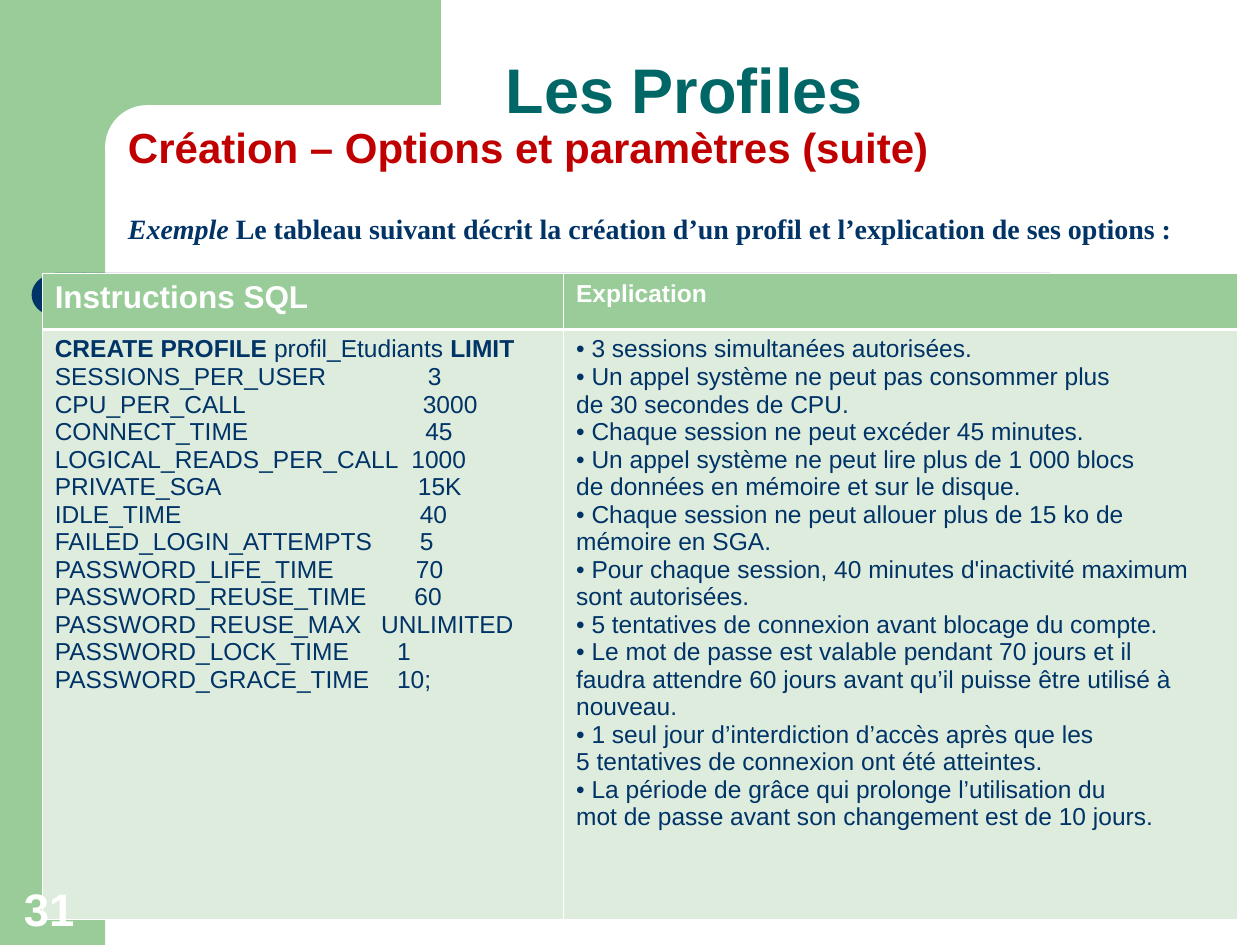
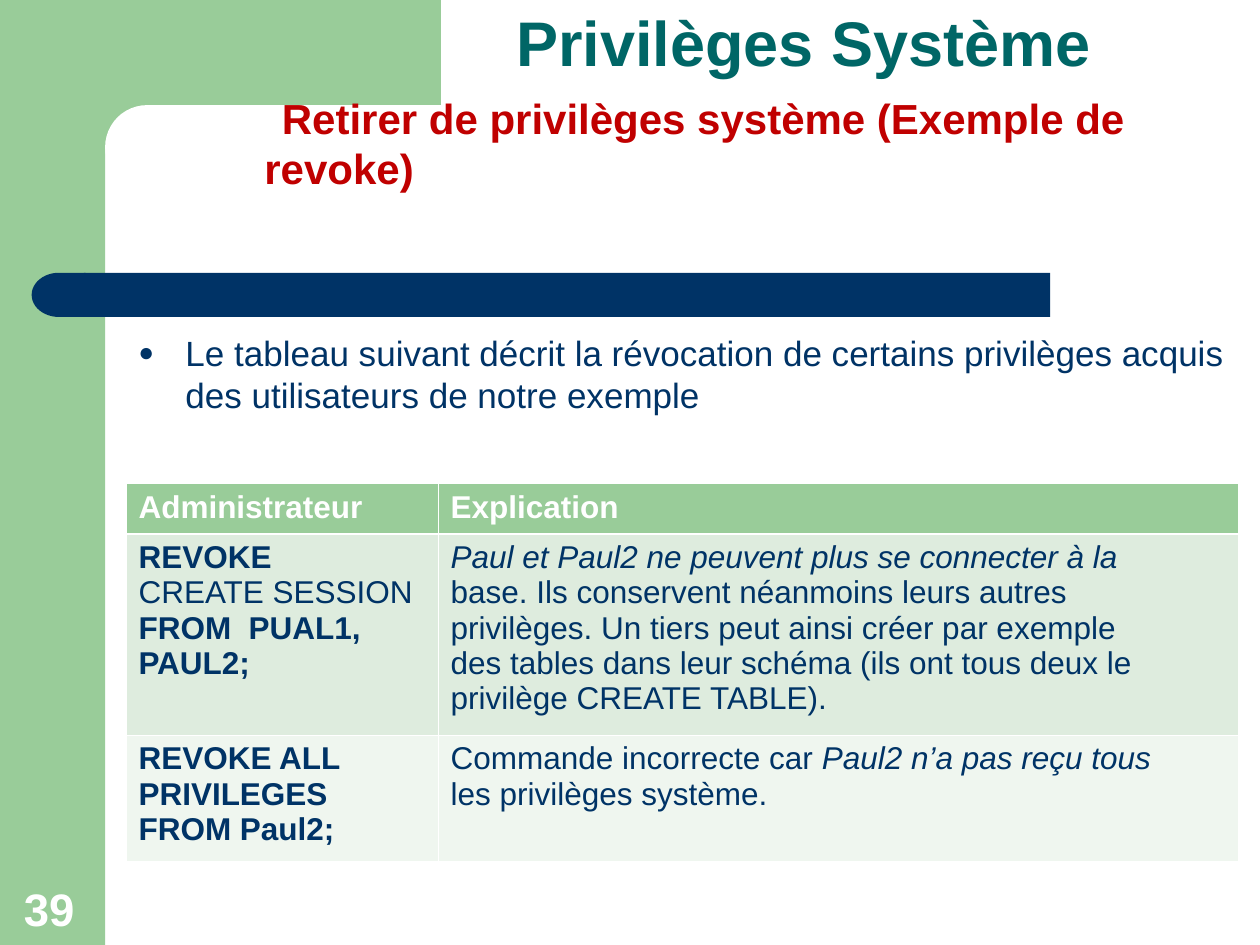
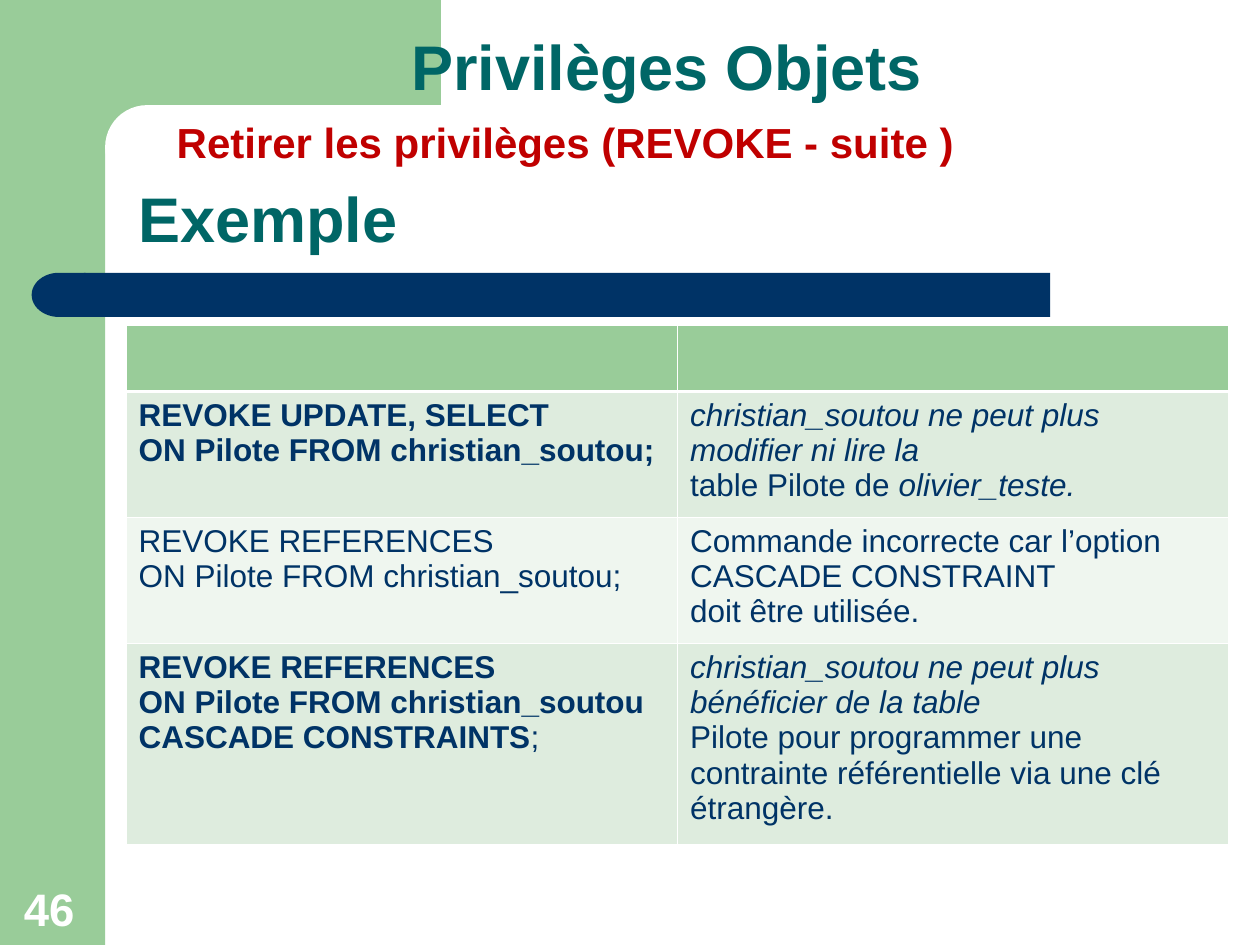
from dataclasses import dataclass
from typing import Any, NamedTuple

import lxml.etree
import pptx
import pptx.dml.color
import pptx.enum.shapes
import pptx.enum.text
import pptx.oxml.ns
import pptx.util

Cm = pptx.util.Cm
Pt = pptx.util.Pt
qn = pptx.oxml.ns.qn
Preset = pptx.enum.shapes.MSO_SHAPE
Anchor = pptx.enum.text.MSO_ANCHOR

COLORS = {
    "green": "99CC99",
    "navy": "003366",
    "teal": "006666",
    "red": "C00000",
    "white": "FFFFFF",
    "row_dark": "DEECDE",
    "row_light": "EFF6EF",
}
THIN, THICK = 0.45, 1.47
TITLE_SIZE, SUBTITLE_SIZE = 36, 24


class Box(NamedTuple):
    left: float
    top: float
    width: float
    height: float

    def lengths(self) -> list[int]:
        return [Cm(value) for value in self]


class Run(NamedTuple):
    text: str
    bold: bool = False
    italic: bool = False


class Line(NamedTuple):
    runs: list[Run]
    tab_stop: float = 0


@dataclass
class Band:
    box: Box
    preset: Any
    color: str
    adjustment: float | None = None
    flipped: bool = False


@dataclass
class TableContent:
    left: float
    top: float
    columns: list[float]
    rows: list[float]
    cells: list[list[list[Line]]]
    size: int = 18
    first_header_size: int = 18


BANDS = [
    Band(Box(0, 0, 2.12, 19.05), Preset.RECTANGLE, "green"),
    Band(Box(1.9, 0, 6.99, 2.96), Preset.RECTANGLE, "green"),
    Band(Box(2.12, 2.12, 14.18, 1.69), Preset.ROUNDED_RECTANGLE, "white", 0.5),
    Band(Box(1.69, 5.5, 19.48, 0.89), Preset.ROUNDED_RECTANGLE, "navy", 0),
    Band(Box(0.64, 5.5, 1.09, 0.89), Preset.FLOWCHART_DELAY, "navy", flipped=True),
]
NUMBER_BOX = Box(0.23, 17.63, 1.63, 1.37)


def plain(*texts: str) -> list[Line]:
    return [Line([Run(text)]) for text in texts]


def bold(*texts: str) -> list[Line]:
    return [Line([Run(text, bold=True)]) for text in texts]


def italic(*texts: str) -> list[Line]:
    return [Line([Run(text, italic=True)]) for text in texts]


def rgb(name: str) -> pptx.dml.color.RGBColor:
    return pptx.dml.color.RGBColor.from_string(COLORS[name])


def add_text(paragraph: Any, text: str, *, size: float, color: str = "navy", bold: bool = False,
             italic: bool = False, font: str = "Arial") -> None:
    for index, part in enumerate(text.split("\n")):
        if index:
            paragraph.add_line_break()
        if part:
            run = paragraph.add_run()
            run.text = part
            run.font.name = font
            run.font.size = Pt(size)
            run.font.bold = bold
            run.font.italic = italic
            run.font.color.rgb = rgb(color)


def set_tab_stop(paragraph: Any, position: float) -> None:
    properties = paragraph._p.get_or_add_pPr()
    tabs = lxml.etree.SubElement(properties, qn("a:tabLst"))
    lxml.etree.SubElement(tabs, qn("a:tab"), pos=str(Cm(position)), algn="l")


def set_bullet(paragraph: Any, indent: float) -> None:
    properties = paragraph._p.get_or_add_pPr()
    properties.set("marL", str(Cm(indent)))
    properties.set("indent", str(-Cm(indent)))
    color = lxml.etree.SubElement(properties, qn("a:buClr"))
    lxml.etree.SubElement(color, qn("a:srgbClr"), val=COLORS["navy"])
    lxml.etree.SubElement(properties, qn("a:buSzPct"), val="75000")
    lxml.etree.SubElement(properties, qn("a:buFont"), typeface="Arial")
    lxml.etree.SubElement(properties, qn("a:buChar"), char="●")


def prepare_frame(shape: Any, anchor: Any) -> Any:
    frame = shape.text_frame
    frame.word_wrap = True
    frame.auto_size = pptx.enum.text.MSO_AUTO_SIZE.NONE
    frame.vertical_anchor = anchor
    frame.margin_left = frame.margin_right = Cm(0.25)
    frame.margin_top = frame.margin_bottom = Cm(0.13)
    paragraph = frame.paragraphs[0]
    paragraph.alignment = pptx.enum.text.PP_ALIGN.LEFT
    return paragraph


def add_text_box(slide: Any, box: Box, anchor: Any = Anchor.TOP) -> Any:
    return prepare_frame(slide.shapes.add_textbox(*box.lengths()), anchor)


def place_title(slide: Any, box: Box) -> Any:
    title = slide.shapes.title
    title.left, title.top, title.width, title.height = box.lengths()
    return prepare_frame(title, Anchor.BOTTOM)


def write_heading(paragraph: Any, heading: str, subtitle: str = "", tab_stop: float = 0) -> None:
    paragraph.line_spacing = 0.9
    if tab_stop:
        set_tab_stop(paragraph, tab_stop)
    add_text(paragraph, heading, size=TITLE_SIZE, color="teal", bold=True)
    add_text(paragraph, subtitle, size=SUBTITLE_SIZE, color="red", bold=True)


def add_number(slide: Any, number: int) -> None:
    paragraph = add_text_box(slide, NUMBER_BOX, Anchor.BOTTOM)
    add_text(paragraph, str(number), size=26, color="white", bold=True)


def add_bands(slide: Any, layout: Any) -> None:
    for band in BANDS:
        shape = slide.shapes.add_shape(band.preset, *band.box.lengths())
        shape.shadow.inherit = False
        shape.fill.solid()
        shape.fill.fore_color.rgb = rgb(band.color)
        shape.line.fill.background()
        if band.adjustment is not None:
            shape.adjustments[0] = band.adjustment
        if band.flipped:
            shape.element.spPr.xfrm.set("flipH", "1")
        layout.shapes.element.append(shape.element)


def set_borders(cell: Any, top: float, bottom: float) -> None:
    properties = cell._tc.get_or_add_tcPr()
    widths = {"a:lnL": THIN, "a:lnR": THIN, "a:lnT": top, "a:lnB": bottom}
    for index, (tag, width) in enumerate(widths.items()):
        border = lxml.etree.Element(qn(tag), w=str(Pt(width)))
        fill = lxml.etree.SubElement(border, qn("a:solidFill"))
        lxml.etree.SubElement(fill, qn("a:srgbClr"), val=COLORS["white"])
        properties.insert(index, border)


def add_table(slide: Any, content: TableContent) -> None:
    box = Box(content.left, content.top, sum(content.columns), sum(content.rows))
    table = slide.shapes.add_table(len(content.rows), len(content.columns), *box.lengths()).table
    table.horz_banding = False
    for column, width in zip(table.columns, content.columns):
        column.width = Cm(width)
    for row_index, (row, height) in enumerate(zip(table.rows, content.rows)):
        row.height = Cm(height)
        header = row_index == 0
        fill = "green" if header else ("row_light", "row_dark")[row_index % 2]
        for column_index, lines in enumerate(content.cells[row_index]):
            cell = table.cell(row_index, column_index)
            cell.fill.solid()
            cell.fill.fore_color.rgb = rgb(fill)
            set_borders(cell, THICK if row_index == 1 else THIN, THICK if header else THIN)
            first = header and column_index == 0
            size = content.first_header_size if first else content.size
            for line_index, line in enumerate(lines):
                frame = cell.text_frame
                paragraph = frame.add_paragraph() if line_index else frame.paragraphs[0]
                if line.tab_stop:
                    set_tab_stop(paragraph, line.tab_stop)
                for run in line.runs:
                    add_text(paragraph, run.text, size=size, color="white" if header else "navy",
                             bold=run.bold, italic=run.italic)


PROFILE_LIMITS = [
    ("SESSIONS_PER_USER", "3", 7.52),
    ("CPU_PER_CALL", "3000", 7.42),
    ("CONNECT_TIME", "45", 7.47),
    ("LOGICAL_READS_PER_CALL", "1000", 7.19),
    ("PRIVATE_SGA", "15K", 7.32),
    ("IDLE_TIME", "40", 7.36),
    ("FAILED_LOGIN_ATTEMPTS", "5", 7.36),
    ("PASSWORD_LIFE_TIME", "70", 7.28),
    ("PASSWORD_REUSE_TIME", "60", 7.25),
    ("PASSWORD_REUSE_MAX", "UNLIMITED", 6.58),
    ("PASSWORD_LOCK_TIME", "1", 6.9),
    ("PASSWORD_GRACE_TIME", "10;", 6.9),
]

PROFILE_TABLE = TableContent(
    0.85, 5.52, [10.51, 13.59], [1.12, 11.89],
    [
        [bold("Instructions SQL"), bold("Explication")],
        [
            [Line([Run("CREATE PROFILE ", bold=True), Run("profil_Etudiants "),
                   Run("LIMIT", bold=True)])]
            + [Line([Run(f"{name}\t{value}")], stop) for name, value, stop in PROFILE_LIMITS],
            plain(
                "• 3 sessions simultanées autorisées.",
                "• Un appel système ne peut pas consommer plus",
                "de 30 secondes de CPU.",
                "• Chaque session ne peut excéder 45 minutes.",
                "• Un appel système ne peut lire plus de 1 000 blocs",
                "de données en mémoire et sur le disque.",
                "• Chaque session ne peut allouer plus de 15 ko de",
                "mémoire en SGA.",
                "• Pour chaque session, 40 minutes d'inactivité maximum sont autorisées.",
                "• 5 tentatives de connexion avant blocage du compte.",
                "• Le mot de passe est valable pendant 70 jours et il",
                "faudra attendre 60 jours avant qu’il puisse être utilisé à nouveau.",
                "• 1 seul jour d’interdiction d’accès après que les",
                "5 tentatives de connexion ont été atteintes.",
                "• La période de grâce qui prolonge l’utilisation du",
                "mot de passe avant son changement est de 10 jours.",
            ),
        ],
    ],
    size=14,
)

SYSTEM_TABLE = TableContent(
    2.54, 9.74, [6.29, 16.14], [1.02, 4.06, 2.54],
    [
        [bold("Administrateur"), bold("Explication")],
        [
            bold("REVOKE") + plain("CREATE SESSION") + bold("FROM  PUAL1, PAUL2;"),
            italic("Paul et Paul2 ne peuvent plus se connecter à la")
            + plain(
                "base. Ils conservent néanmoins leurs autres",
                "privilèges. Un tiers peut ainsi créer par exemple",
                "des tables dans leur schéma (ils ont tous deux le privilège CREATE TABLE).",
            ),
        ],
        [
            bold("REVOKE ALL PRIVILEGES FROM Paul2;"),
            [Line([Run("Commande incorrecte car "), Run("Paul2 n’a pas reçu tous", italic=True)])]
            + plain("les privilèges système."),
        ],
    ],
)

OBJECT_TABLE = TableContent(
    2.54, 6.56, [11.12, 11.1], [1.33, 2.54, 2.54, 4.06],
    [
        [[], []],
        [
            bold("REVOKE UPDATE, SELECT", "ON Pilote FROM christian_soutou;"),
            italic("christian_soutou ne peut plus modifier ni lire la")
            + [Line([Run("table Pilote de "), Run("olivier_teste.", italic=True)])],
        ],
        [
            plain("REVOKE REFERENCES", "ON Pilote FROM christian_soutou;"),
            plain("Commande incorrecte car l’option CASCADE CONSTRAINT", "doit être utilisée."),
        ],
        [
            bold("REVOKE REFERENCES", "ON Pilote FROM christian_soutou")
            + [Line([Run("CASCADE CONSTRAINTS", bold=True), Run(";")])],
            italic("christian_soutou ne peut plus bénéficier de la table")
            + plain("Pilote pour programmer une contrainte référentielle via une clé étrangère."),
        ],
    ],
)
PROFILE_TABLE.first_header_size = 18


def build_profiles(slide: Any) -> None:
    write_heading(place_title(slide, Box(2.33, 0, 22.23, 3.6)), "\tLes Profiles\n",
                  "Création – Options et paramètres (suite)", 7.62)
    add_table(slide, PROFILE_TABLE)
    add_number(slide, 31)
    paragraph = add_text_box(slide, Box(2.33, 4.13, 22.23, 0.94))
    add_text(paragraph, "Exemple ", size=16, bold=True, italic=True, font="Times New Roman")
    add_text(paragraph,
             "Le tableau suivant décrit la création d’un profil et l’explication de ses options :",
             size=16, bold=True, font="Times New Roman")


def build_system_privileges(slide: Any) -> None:
    write_heading(place_title(slide, Box(2 * 2.54, 0.85, 19.69, 3.18)),
                  "\tPrivilèges Système \n ",
                  "Retirer de privilèges système (Exemple de revoke)", 5.08)
    paragraph = add_text_box(slide, Box(2.54, 6.56, 22.86, 10.37))
    paragraph.space_before = Pt(5)
    set_bullet(paragraph, 0.95)
    add_text(paragraph,
             "Le tableau suivant décrit la révocation de certains privilèges acquis "
             "des utilisateurs de notre exemple", size=20)
    add_number(slide, 39)
    add_table(slide, SYSTEM_TABLE)


def build_object_privileges(slide: Any) -> None:
    write_heading(place_title(slide, Box(2.54, 2.12, 22.23, 3.18)), "Exemple")
    add_table(slide, OBJECT_TABLE)
    add_number(slide, 46)
    write_heading(add_text_box(slide, Box(2.96, 0.42, 22.23, 3.18), Anchor.BOTTOM),
                  "\tPrivilèges Objets\n ", "Retirer les privilèges (REVOKE - suite )", 5.08)


def main() -> None:
    presentation = pptx.Presentation()
    presentation.slide_width, presentation.slide_height = Cm(25.4), Cm(19.05)
    layout = presentation.slide_layouts.get_by_name("Title Only")
    builders = [build_profiles, build_system_privileges, build_object_privileges]
    slides = [presentation.slides.add_slide(layout) for _ in builders]
    add_bands(slides[0], layout)
    for build, slide in zip(builders, slides):
        build(slide)
    presentation.save("out.pptx")


if __name__ == "__main__":
    main()
